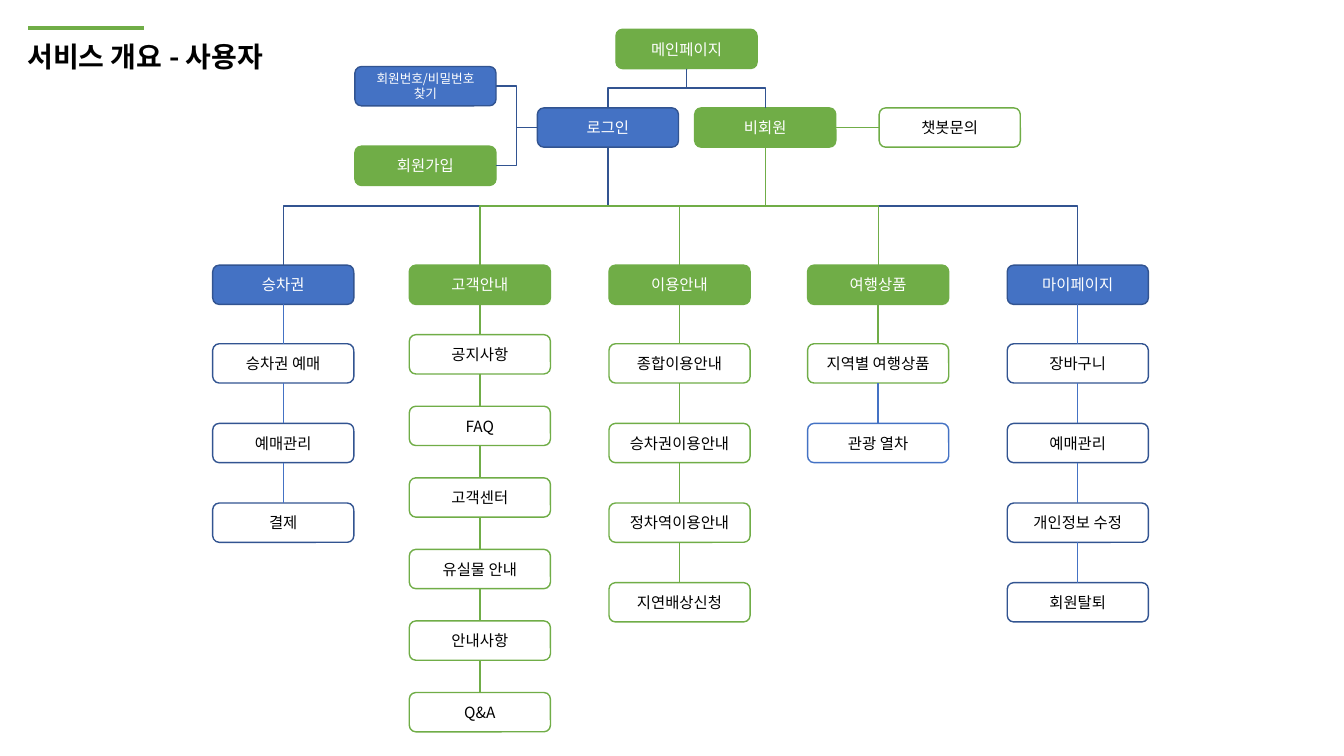
from lxml import etree
from pptx import Presentation
from pptx.dml.color import RGBColor
from pptx.enum.dml import MSO_FILL
from pptx.enum.shapes import MSO_CONNECTOR, MSO_SHAPE
from pptx.enum.text import MSO_ANCHOR, MSO_AUTO_SIZE, PP_ALIGN
from pptx.oxml.ns import qn
from pptx.util import Inches, Pt

ROUNDED = MSO_SHAPE.ROUNDED_RECTANGLE
STRAIGHT, ELBOW = MSO_CONNECTOR.STRAIGHT, MSO_CONNECTOR.ELBOW
MIDDLE, TOP_ANCHOR = MSO_ANCHOR.MIDDLE, MSO_ANCHOR.TOP
CENTER, LEFT_ALIGN = PP_ALIGN.CENTER, PP_ALIGN.LEFT
NO_AUTOFIT = MSO_AUTO_SIZE.NONE
TOP, LEFT, BOTTOM, RIGHT = range(4)

BLUE = RGBColor(0x44, 0x72, 0xC4)
NAVY = RGBColor(0x32, 0x54, 0x91)
GREEN = RGBColor(0x70, 0xAD, 0x47)
WHITE = RGBColor(0xFF, 0xFF, 0xFF)
BLACK = RGBColor(0x00, 0x00, 0x00)

FONT = "Noto Sans CJK KR"
NODE_WIDTH, NODE_HEIGHT = 1.4, 0.39
HEADER_TOP = 2.63
MENU_TOP, MENU_STEP = 3.41, 0.79
SUPPORT_TOP, SUPPORT_STEP = 3.32, 0.71

MENUS = [
    ("승차권", 2.11, MENU_TOP, MENU_STEP, BLUE, NAVY, BLUE,
     ["승차권 예매", "예매관리", "결제"]),
    ("고객안내", 4.06, SUPPORT_TOP, SUPPORT_STEP, GREEN, GREEN, GREEN,
     ["공지사항", "FAQ", "고객센터", "유실물 안내", "안내사항", "Q&A"]),
    ("이용안내", 6.04, MENU_TOP, MENU_STEP, GREEN, GREEN, GREEN,
     ["종합이용안내", "승차권이용안내", "정차역이용안내", "지연배상신청"]),
    ("여행상품", 8.01, MENU_TOP, MENU_STEP, GREEN, GREEN, GREEN,
     ["지역별 여행상품", "관광 열차"]),
    ("마이페이지", 9.99, MENU_TOP, MENU_STEP, BLUE, NAVY, BLUE,
     ["장바구니", "예매관리", "개인정보 수정", "회원탈퇴"]),
]
BLUE_ITEMS = ["관광 열차"]


def apply_format(target, values):
    for name, value in values.items():
        setattr(target, name, value)


def style_text(frame, size, color, align, bold=False):
    for paragraph in frame.paragraphs:
        paragraph.alignment = align
        for run in paragraph.runs:
            apply_format(run.font, {"size": Pt(size), "name": FONT, "bold": bold})
            run.font.color.rgb = color
            etree.SubElement(run.font._element, qn("a:ea"), typeface=FONT)


def add_title(slide, text):
    title = slide.shapes.title
    apply_format(title, {"left": Inches(0.17), "top": Inches(0.34),
                         "width": Inches(3.98), "height": Inches(0.44)})
    frame = title.text_frame
    frame.text = text
    apply_format(frame, {"word_wrap": True, "auto_size": NO_AUTOFIT,
                         "vertical_anchor": TOP_ANCHOR})
    style_text(frame, 20, BLACK, LEFT_ALIGN, bold=True)


def add_node(slide, text, left, top, fill, outline, size=11):
    node = slide.shapes.add_shape(ROUNDED, Inches(left), Inches(top),
                                  Inches(NODE_WIDTH), Inches(NODE_HEIGHT))
    node.shadow.inherit = False
    if fill is None:
        node.fill.background()
    else:
        node.fill.solid()
        node.fill.fore_color.rgb = fill
    node.line.color.rgb = outline
    node.line.width = Pt(1)
    node.text_frame.text = text
    apply_format(node.text_frame, {"word_wrap": True, "vertical_anchor": MIDDLE})
    style_text(node.text_frame, size, BLACK if fill is None else WHITE, CENTER)
    return node


def add_line(slide, kind, color, width=1, ends=(0, 0, 0, 0)):
    line = slide.shapes.add_connector(kind, *map(Inches, ends))
    line.line.color.rgb = color
    line.line.width = Pt(width)
    etree.SubElement(line._element.spPr, qn("a:effectLst"))
    return line


def join(slide, start, start_side, end, end_side, color, kind=STRAIGHT):
    line = add_line(slide, kind, color)
    line.begin_connect(start, start_side)
    line.end_connect(end, end_side)
    return line


def branch_down(slide, parent, child, color):
    branch = join(slide, parent, BOTTOM, child, TOP, color, ELBOW)
    goes_right = branch.end_x > branch.begin_x
    center_x = (branch.begin_x + branch.end_x) // 2
    center_y = (branch.begin_y + branch.end_y) // 2
    drop, spread = branch.height, branch.width
    apply_format(branch, {"left": center_x - drop // 2, "top": center_y - spread // 2,
                          "width": drop, "height": spread})
    frame = branch._element.spPr.find(qn("a:xfrm"))
    frame.set("rot", "16200000" if goes_right else "5400000")
    frame.set("flipH", "1" if goes_right else "0")


def add_menu(slide, name, left, top, step, fill, outline, link, items):
    header = add_node(slide, name, left, HEADER_TOP, fill, outline)
    above = header
    for row, item in enumerate(items):
        special = item in BLUE_ITEMS
        node = add_node(slide, item, left, top + row * step, None,
                        BLUE if special else outline)
        join(slide, above, BOTTOM, node, TOP, BLUE if special else link)
        above = node
    return header


def main():
    deck = Presentation()
    apply_format(deck, {"slide_width": Inches(13.33), "slide_height": Inches(7.5)})
    slide = deck.slides.add_slide(deck.slide_layouts[5])
    add_title(slide, "서비스 개요 - 사용자")
    add_line(slide, STRAIGHT, GREEN, 3, (0.28, 0.28, 1.43, 0.28))

    main_page = add_node(slide, "메인페이지", 6.11, 0.29, GREEN, GREEN)
    login = add_node(slide, "로그인", 5.33, 1.07, BLUE, NAVY)
    guest = add_node(slide, "비회원", 6.89, 1.07, GREEN, GREEN)
    chatbot = add_node(slide, "챗봇문의", 8.72, 1.07, None, GREEN)
    find_account = add_node(slide, "회원번호/비밀번호\n찾기", 3.52, 0.66, BLUE, NAVY, 9)
    sign_up = add_node(slide, "회원가입", 3.52, 1.45, GREEN, GREEN)
    headers = [add_menu(slide, *menu) for menu in MENUS]

    for visitor in (login, guest):
        branch_down(slide, main_page, visitor, NAVY)
    for header in headers:
        branch_down(slide, login, header, NAVY)
    for header in headers[1:4]:
        branch_down(slide, guest, header, GREEN)
    for account_page in (find_account, sign_up):
        join(slide, login, LEFT, account_page, RIGHT, NAVY, ELBOW)
    join(slide, guest, RIGHT, chatbot, LEFT, GREEN)

    deck.save("out.pptx")


if __name__ == "__main__":
    main()
